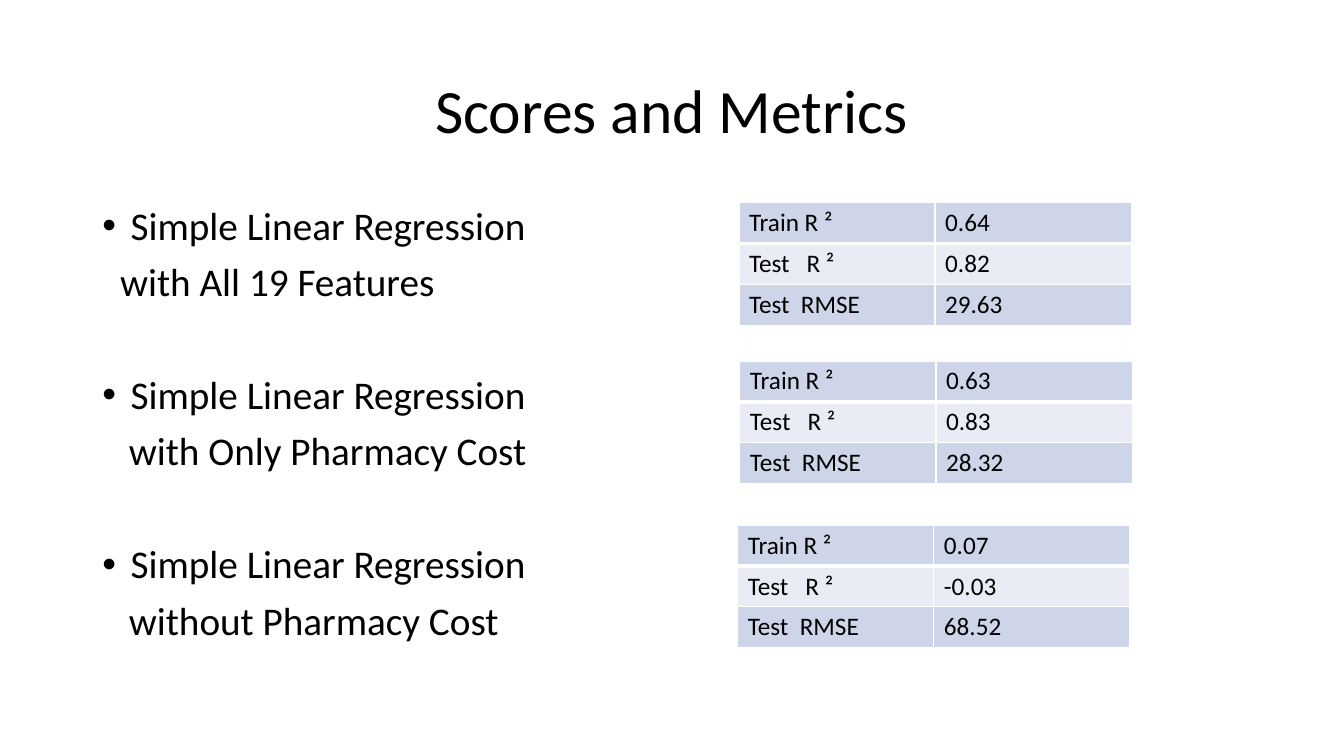
"""Build the scores and metrics slide."""
from lxml.etree import SubElement as Sub
from pptx import Presentation
from pptx.dml.color import RGBColor as Rgb
from pptx.enum.text import MSO_ANCHOR as Anchor, PP_ALIGN as Align
from pptx.oxml.ns import qn
from pptx.util import Pt

TITLE = "Scores and Metrics"
LABELS = ["Train R ²", "Test   R ²", "Test  RMSE"]
MODELS = [
    ("Simple Linear Regression", "with All 19 Features", 12.7,
     (527.8, 144.7), ["0.64", "0.82", "29.63"]),
    ("Simple Linear Regression", "with Only Pharmacy Cost", 19,
     (528.5, 257.8), ["0.63", "0.83", "28.32"]),
    ("Simple Linear Regression", "without Pharmacy Cost", 19,
     (527, 375.1), ["0.07", "-0.03", "68.52"]),
]
FONT, INK, LINE = "Calibri", "000000", "FFFFFF"
BANDS = ["CFD5E9", "E9EBF5"]
COL, ROW = 140.1, 29.2
BULLET, GAP, BREAK = 20.3, 10, 50.5


def color(code):
    return Rgb.from_string(code)


def write(para, text, size):
    run = para.add_run()
    run.text = text
    run.font.size = Pt(size)
    run.font.name = FONT
    run.font.color.rgb = color(INK)


def add_box(slide, left, top, width, height, anchor):
    box = slide.shapes.add_textbox(Pt(left), Pt(top), Pt(width), Pt(height))
    frame = box.text_frame
    frame.word_wrap = True
    frame.vertical_anchor = anchor
    return frame


def add_line(para, text, before, indent, bullet=False):
    para.line_spacing = 0.9
    para.space_before = Pt(before)
    write(para, text, 28)
    props = para._p.get_or_add_pPr()
    props.set("marL", str(Pt(indent)))
    props.set("indent", str(-Pt(indent) if bullet else 0))
    if bullet:
        Sub(props, qn("a:buFont"), typeface="Arial")
        Sub(props, qn("a:buChar"), char="•")


def add_edges(cell, top, bottom):
    props = cell._tc.get_or_add_tcPr()
    for side, width in zip("LRTB", (1, 1, top, bottom)):
        edge = Sub(props, qn(f"a:ln{side}"), w=str(Pt(width)))
        fill = Sub(edge, qn("a:solidFill"))
        Sub(fill, qn("a:srgbClr"), val=LINE)


def add_scores(slide, spot, scores):
    left, top = spot
    count = len(scores)
    table = slide.shapes.add_table(
        count, 2, Pt(left), Pt(top), Pt(2 * COL), Pt(count * ROW)).table
    for col in table.columns:
        col.width = Pt(COL)
    for r, pair in enumerate(zip(LABELS, scores)):
        table.rows[r].height = Pt(ROW)
        for c, text in enumerate(pair):
            cell = table.cell(r, c)
            add_edges(cell, 3 if r == 1 else 1, 3 if r == 0 else 1)
            cell.fill.solid()
            cell.fill.fore_color.rgb = color(BANDS[r % 2])
            write(cell.text_frame.paragraphs[0], text, 18)


def main():
    deck = Presentation()
    deck.slide_width, deck.slide_height = Pt(960), Pt(540)
    slide = deck.slides.add_slide(deck.slide_layouts[6])

    head = add_box(slide, 66, 28.75, 828, 104.4, Anchor.MIDDLE).paragraphs[0]
    head.alignment = Align.CENTER
    head.line_spacing = 0.9
    write(head, TITLE, 44)

    body = add_box(slide, 66, 143.75, 828, 342.6, Anchor.TOP)
    for i, (name, scope, indent, spot, scores) in enumerate(MODELS):
        para = body.add_paragraph() if i else body.paragraphs[0]
        add_line(para, name, BREAK if i else GAP, BULLET, True)
        add_line(body.add_paragraph(), scope, GAP, indent)
        add_scores(slide, spot, scores)

    deck.save("out.pptx")


if __name__ == "__main__":
    main()
